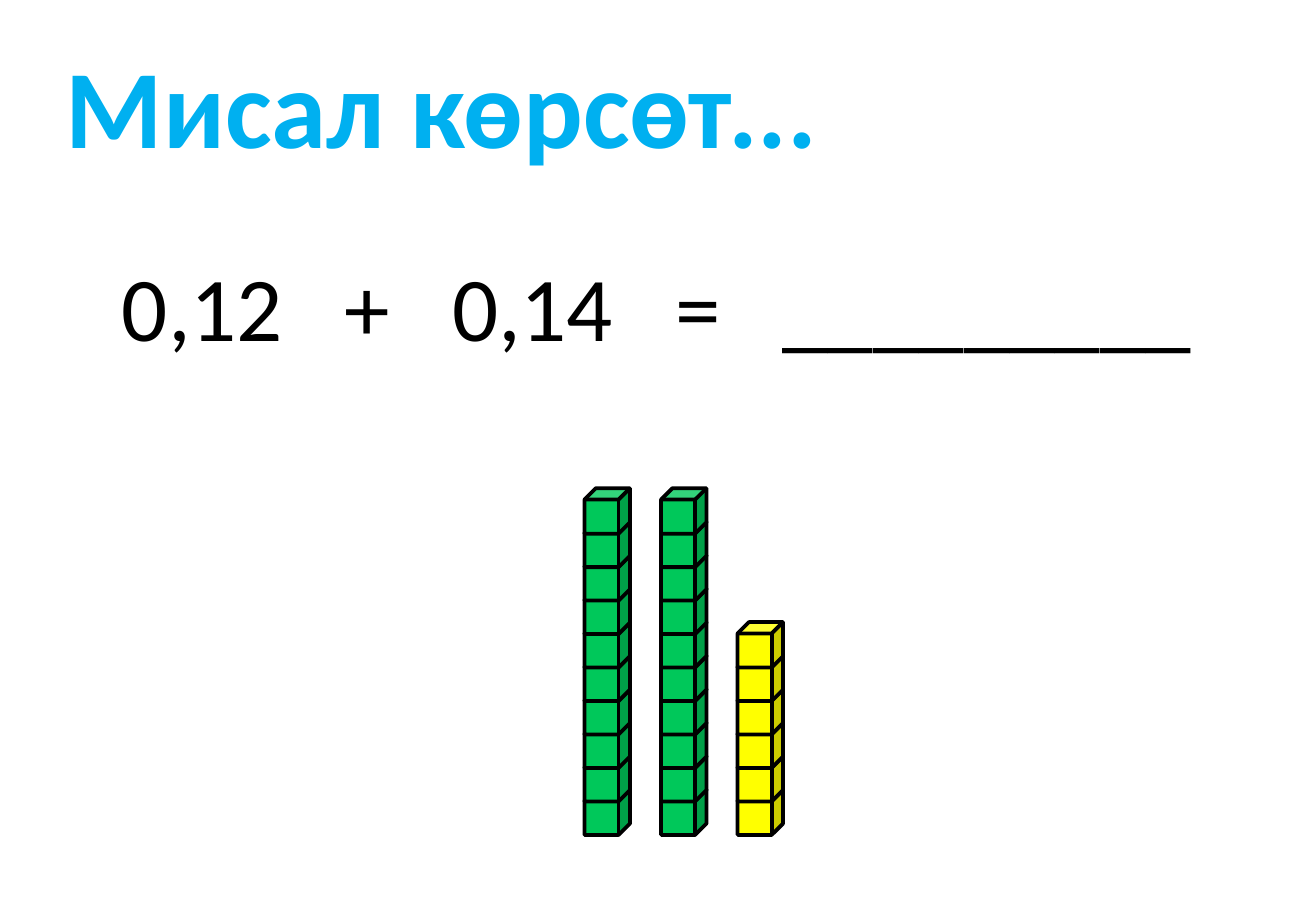
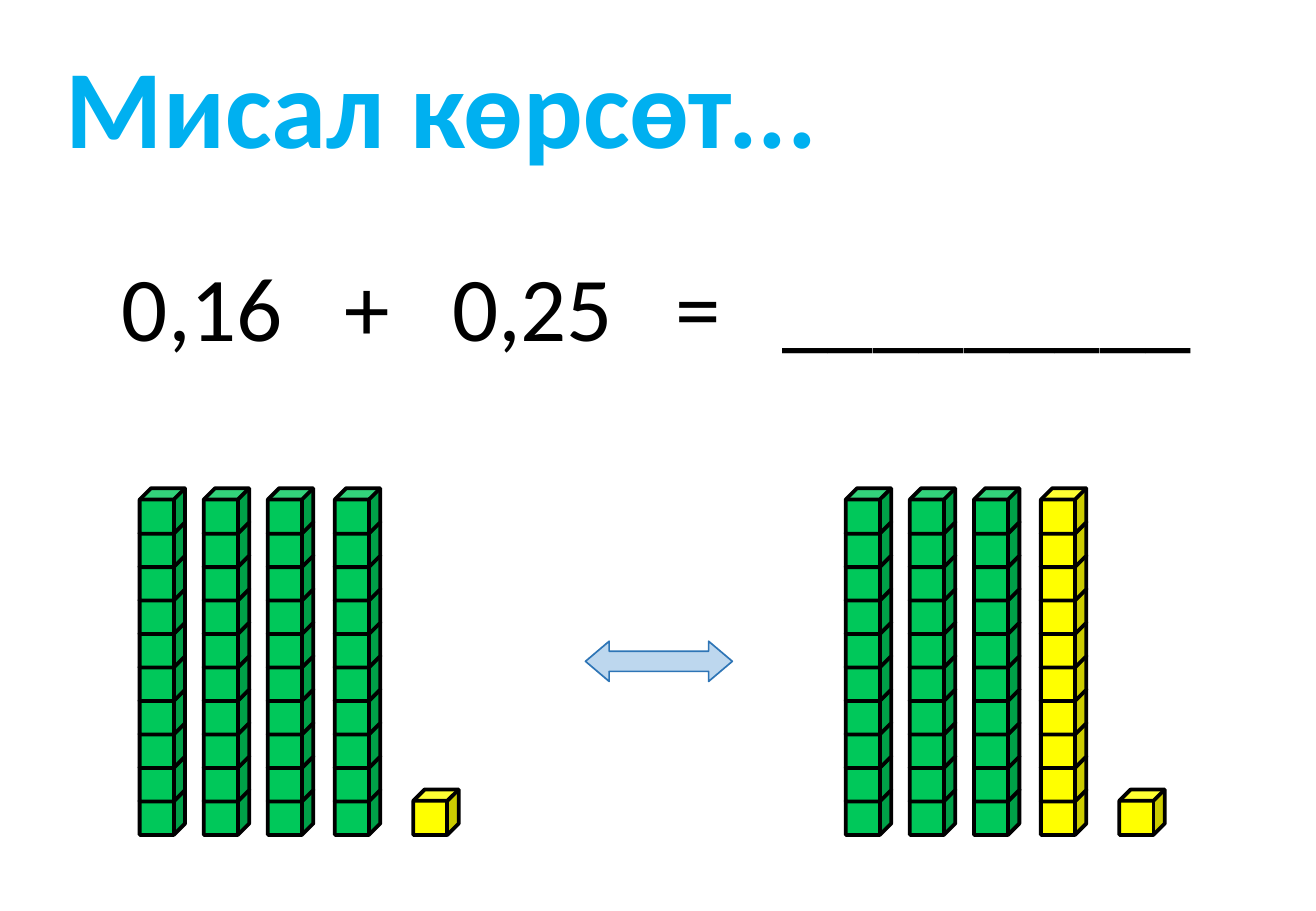
from dataclasses import dataclass

from lxml import etree
from pptx import Presentation
from pptx import util as u
from pptx.dml.color import RGBColor
from pptx.enum import shapes, text
from pptx.oxml import ns


@dataclass(frozen=True)
class Theme:
    font: str = "Calibri"
    title_size: int = 66
    equation_size: int = 54
    title: str = "00B0F0"
    ink: str = "000000"
    green: str = "00C85A"
    yellow: str = "FFFF00"
    arrow: str = "BDD7EE"
    arrow_line: str = "2E75B6"
    cube_line_width: float = 2.25
    arrow_line_width: float = 1


@dataclass(frozen=True)
class Stack:
    """A tower of cubes; left is in centimetres."""
    left: float
    count: int
    color: str


@dataclass(frozen=True)
class Exercise:
    equation: tuple[str, ...]
    stacks: tuple[Stack, ...]
    has_arrow: bool = False


THEME = Theme()
TITLE = "Мисал көрсөт..."
BLANK_LINE = "_________"
EQUATION_TABS = (4.66, 6.9, 11.57, 13.81)
CUBE_SIZE = 0.95
CUBE_PITCH = 0.7
CUBE_BASE = 16.51
STACK_OFFSETS = (0, 1.34, 2.68, 4.08, 5.72)


def place_stacks(left: float, offsets: tuple[float, ...],
                 towers: tuple[tuple[int, str], ...]) -> tuple[Stack, ...]:
    return tuple(Stack(left + offset, count, color)
                 for offset, (count, color) in zip(offsets, towers))


TEN = (10, THEME.green)
ONE = (1, THEME.yellow)
EXERCISES = (
    Exercise(("0,12", "+", "0,14", "=", BLANK_LINE),
             place_stacks(12.22, (0, 1.6, 3.2), (TEN, TEN, (6, THEME.yellow)))),
    Exercise(("0,16", "+", "0,25", "=", BLANK_LINE),
             place_stacks(2.92, STACK_OFFSETS, (TEN, TEN, TEN, TEN, ONE))
             + place_stacks(17.68, STACK_OFFSETS,
                            (TEN, TEN, TEN, (10, THEME.yellow), ONE)),
             has_arrow=True),
)


def add_text(slide, content: str, left: float, top: float, width: float,
             height: float, *, size: int, color: str, bold: bool = False,
             tabs: tuple[float, ...] = ()) -> None:
    box = slide.shapes.add_textbox(u.Cm(left), u.Cm(top), u.Cm(width), u.Cm(height))
    frame = box.text_frame
    frame.word_wrap = True
    frame.auto_size = text.MSO_AUTO_SIZE.SHAPE_TO_FIT_TEXT
    paragraph = frame.paragraphs[0]
    if tabs:
        properties = paragraph._p.get_or_add_pPr()
        tab_list = etree.SubElement(properties, ns.qn("a:tabLst"))
        for position in tabs:
            etree.SubElement(tab_list, ns.qn("a:tab"),
                             pos=str(u.Cm(position)), algn="l")
    run = paragraph.add_run()
    run.text = content
    run.font.name = THEME.font
    run.font.size = u.Pt(size)
    run.font.bold = bold
    run.font.color.rgb = RGBColor.from_string(color)


def add_figure(container, kind: shapes.MSO_SHAPE, left: float, top: float,
               width: float, height: float, *, fill: str, line: str,
               line_width: float):
    shape = container.shapes.add_shape(
        kind, u.Cm(left), u.Cm(top), u.Cm(width), u.Cm(height))
    shape.shadow.inherit = False
    shape.fill.solid()
    shape.fill.fore_color.rgb = RGBColor.from_string(fill)
    shape.line.color.rgb = RGBColor.from_string(line)
    shape.line.width = u.Pt(line_width)
    return shape


def add_stack(slide, stack: Stack) -> None:
    """Draw the cubes from the bottom up, so that each covers the one below."""
    container = slide.shapes.add_group_shape() if stack.count > 1 else slide
    for level in range(stack.count):
        add_figure(container, shapes.MSO_SHAPE.CUBE, stack.left,
                   CUBE_BASE - level * CUBE_PITCH, CUBE_SIZE, CUBE_SIZE,
                   fill=stack.color, line=THEME.ink,
                   line_width=THEME.cube_line_width)


def add_exchange_arrow(slide) -> None:
    arrow = add_figure(slide, shapes.MSO_SHAPE.LEFT_RIGHT_ARROW,
                       12.24, 13.41, 3.07, 0.84, fill=THEME.arrow,
                       line=THEME.arrow_line, line_width=THEME.arrow_line_width)
    arrow.adjustments[0] = 0.5
    arrow.adjustments[1] = 0.59


def add_exercise(presentation, exercise: Exercise) -> None:
    slide = presentation.slides.add_slide(presentation.slide_layouts[6])
    add_text(slide, "\t".join(exercise.equation), 2.3, 5.11, 23.1, 2.57,
             size=THEME.equation_size, color=THEME.ink, tabs=EQUATION_TABS)
    for stack in exercise.stacks:
        add_stack(slide, stack)
    if exercise.has_arrow:
        add_exchange_arrow(slide)
    add_text(slide, TITLE, 1.13, 0.66, 18.6, 3.07,
             size=THEME.title_size, color=THEME.title, bold=True)


def main() -> None:
    presentation = Presentation()
    presentation.slide_width = u.Cm(27.51)
    presentation.slide_height = u.Cm(19.05)
    for exercise in EXERCISES:
        add_exercise(presentation, exercise)
    presentation.save("out.pptx")


if __name__ == "__main__":
    main()
